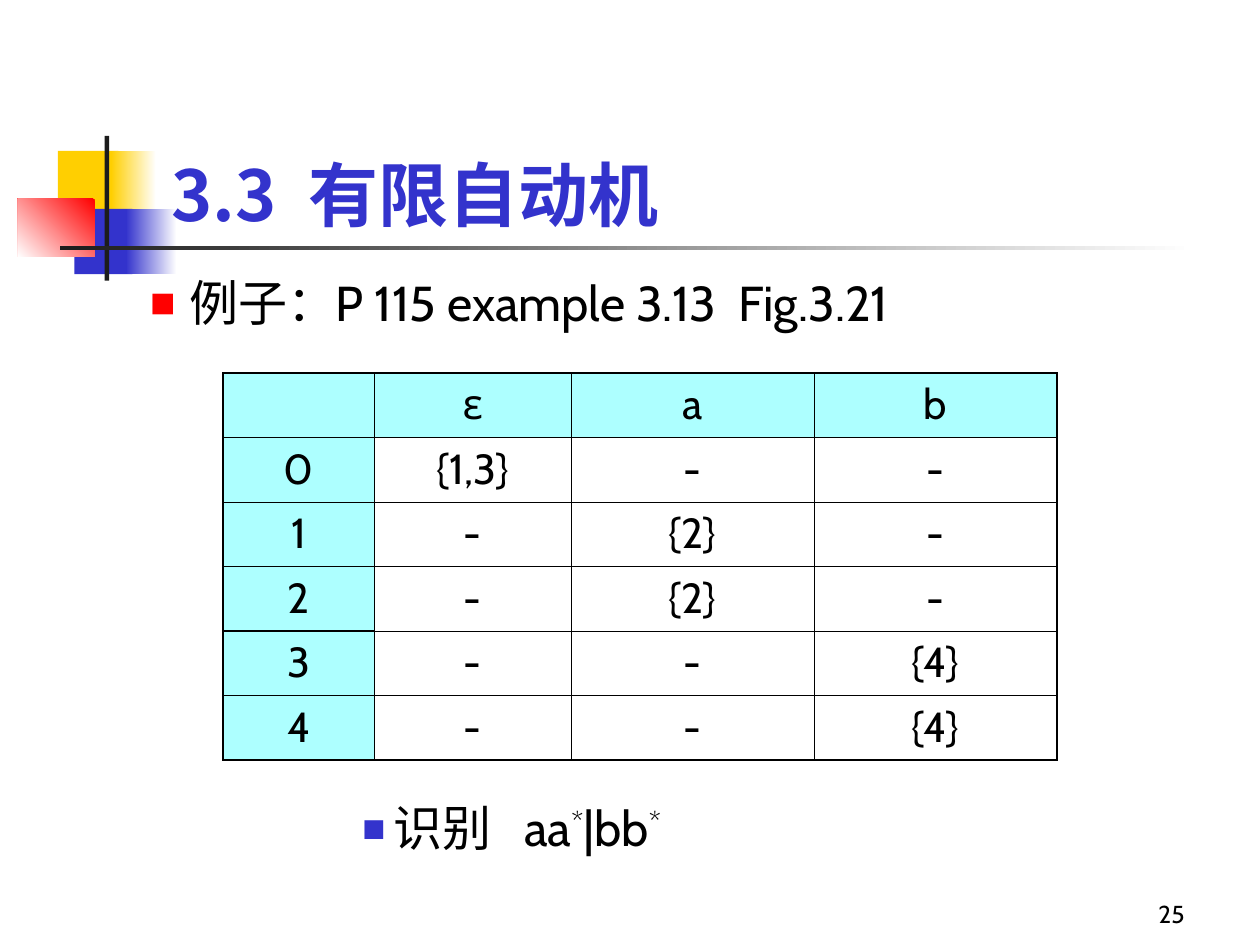
from dataclasses import dataclass

from lxml.etree import SubElement
from pptx import Presentation
from pptx.dml.color import RGBColor
from pptx.enum.shapes import MSO_SHAPE
from pptx.enum.text import MSO_ANCHOR, MSO_AUTO_SIZE, PP_ALIGN
from pptx.oxml import parse_xml
from pptx.oxml.ns import nsdecls, qn
from pptx.util import Cm, Pt


@dataclass(frozen=True)
class Theme:
    latin: str = "Cabin"
    han: str = "Noto Sans CJK SC"
    white: str = "FFFFFF"
    black: str = "000000"
    charcoal: str = "1C1C1C"
    yellow: str = "FFCF01"
    blue: str = "3333CC"
    red: str = "FF0000"
    heading_fill: str = "ADFFFF"
    title_size: int = 40
    list_size: int = 28
    cell_size: int = 24
    number_size: int = 14
    thin_rule: float = 0.45
    thick_rule: float = 1.08


THEME = Theme()
TRANSITIONS = [
    ["", "ε", "a", "b"],
    ["0", "{1,3}", "-", "-"],
    ["1", "-", "{2}", "-"],
    ["2", "-", "{2}", "-"],
    ["3", "-", "-", "{4}"],
    ["4", "-", "-", "{4}"],
]


def rgb(color):
    return RGBColor.from_string(color)


def place(part, box):
    part.left, part.top, part.width, part.height = map(Cm, box)


def add_run(paragraph, text, size, latin=THEME.latin, color=THEME.black, bold=False, raised=False):
    run = paragraph.add_run()
    run.text = text
    run.font.size = Pt(size)
    run.font.name = latin
    run.font.bold = bold
    run.font.color.rgb = rgb(color)
    properties = run.font._element
    SubElement(properties, qn("a:ea")).set("typeface", THEME.han)
    if raised:
        properties.set("baseline", "30000")


def add_ornament(slide, box):
    left, top, width, height = box
    blocks = [
        ((0.81, 0.3, 1.22, 1.32), [THEME.yellow], 0),
        ((1.88, 0.3, 0.91, 1.32), [THEME.white, THEME.yellow], 180),
        ((1.14, 1.47, 1.17, 1.32), [THEME.blue], 0),
        ((2.18, 1.47, 1.02, 1.32), [THEME.white, THEME.blue], 180),
        ((0, 1.27, 1.55, 1.17), [THEME.red, THEME.white], 225),
        ((1.75, 0, 0.09, height), [THEME.charcoal], 0),
        ((0.86, 2.21, width - 0.86, 0.09), [THEME.white, THEME.charcoal], 180),
    ]
    for layer, ((x, y, block_width, block_height), colors, angle) in enumerate(blocks, start=2):
        block = slide.shapes.add_shape(
            MSO_SHAPE.RECTANGLE, Cm(left + x), Cm(top + y), Cm(block_width), Cm(block_height)
        )
        block.shadow.inherit = False
        block.line.fill.background()
        if len(colors) == 1:
            block.fill.solid()
            block.fill.fore_color.rgb = rgb(colors[0])
        else:
            block.fill.gradient()
            block.fill.gradient_angle = angle
            for stop, color in zip(block.fill.gradient_stops, colors):
                stop.color.rgb = rgb(color)
        slide.shapes._spTree.insert(layer, block._element)


def fill_title(title, box):
    place(title, box)
    frame = title.text_frame
    frame.auto_size = MSO_AUTO_SIZE.NONE
    frame.vertical_anchor = MSO_ANCHOR.BOTTOM
    heading = frame.paragraphs[0]
    heading.alignment = PP_ALIGN.LEFT
    add_run(heading, "3.3  有限自动机", THEME.title_size, THEME.han, THEME.blue, bold=True)


def fill_list(body, box, level, margin, hanging, bullet_color, bullet_percent, pieces):
    place(body, box)
    body.text_frame.auto_size = MSO_AUTO_SIZE.NONE
    item = body.text_frame.paragraphs[0]
    item.level = level
    item.line_spacing = 1.2
    item.space_before = Pt(7)
    properties = item._p.get_or_add_pPr()
    properties.set("marL", str(Cm(margin)))
    properties.set("indent", str(Cm(-hanging)))
    color = SubElement(properties, qn("a:buClr"))
    SubElement(color, qn("a:srgbClr")).set("val", bullet_color)
    SubElement(properties, qn("a:buSzPct")).set("val", str(bullet_percent * 1000))
    SubElement(properties, qn("a:buFont")).set("typeface", THEME.latin)
    SubElement(properties, qn("a:buChar")).set("char", "■")
    for text, raised in pieces:
        add_run(item, text, THEME.list_size, raised=raised)


def set_borders(cell, thick_sides):
    properties = cell._tc.get_or_add_tcPr()
    for position, side in enumerate("LRTB"):
        weight = THEME.thick_rule if side in thick_sides else THEME.thin_rule
        border = parse_xml(
            f'<a:ln{side} {nsdecls("a")} w="{Pt(weight)}"><a:solidFill>'
            f'<a:srgbClr val="{THEME.black}"/></a:solidFill></a:ln{side}>'
        )
        properties.insert(position, border)


def add_transition_table(slide, box, column_widths):
    row_count, column_count = len(TRANSITIONS), len(column_widths)
    table = slide.shapes.add_table(row_count, column_count, *map(Cm, box)).table
    table.first_row = table.horz_banding = False
    for column, width in zip(table.columns, column_widths):
        column.width = Cm(width)
    for r, states in enumerate(TRANSITIONS):
        table.rows[r].height = Cm(box[3] / row_count)
        for c, state in enumerate(states):
            cell = table.cell(r, c)
            if r == 0 or c == 0:
                cell.fill.solid()
                cell.fill.fore_color.rgb = rgb(THEME.heading_fill)
            else:
                cell.fill.background()
            thick = {
                "L": c == 0,
                "R": c == column_count - 1,
                "T": r == 0 or (r, c) == (4, 0),
                "B": r == row_count - 1 or (r, c) == (3, 0),
            }
            set_borders(cell, [side for side in thick if thick[side]])
            entry = cell.text_frame.paragraphs[0]
            entry.alignment = PP_ALIGN.CENTER
            entry.space_before = Pt(6)
            if state:
                add_run(entry, state, THEME.cell_size)


def add_page_number(slide, box):
    frame = slide.shapes.add_textbox(*map(Cm, box)).text_frame
    frame.word_wrap = True
    frame.vertical_anchor = MSO_ANCHOR.BOTTOM
    frame.paragraphs[0].alignment = PP_ALIGN.RIGHT
    add_run(frame.paragraphs[0], "25", THEME.number_size)


def main():
    deck = Presentation()
    deck.slide_width, deck.slide_height = Cm(25.4), Cm(19.05)
    slide = deck.slides.add_slide(deck.slide_layouts.get_by_name("Two Content"))
    title, example, language = slide.placeholders

    add_ornament(slide, (0.36, 2.74, 23.72, 2.92))
    fill_title(title, (3.2, 1.7, 21.64, 3.18))
    fill_list(example, (1.5, 5.13, 21.79, 1.8), 1, 2.06, 0.79, THEME.red, 55,
              [("例子：P 115 example 3.13  Fig.3.21", False)])
    fill_list(language, (4.5, 15.72, 11, 1.8), 2, 3.18, 0.63, THEME.blue, 50,
              [("识别   aa", False), ("*", True), ("|bb", False), ("*", True)])
    add_transition_table(slide, (4.5, 7.52, 16.81, 7.8), [3.05, 3.96, 4.9, 4.9])
    add_page_number(slide, (18.85, 17.58, 5.28, 1.27))
    deck.save("out.pptx")


if __name__ == "__main__":
    main()
